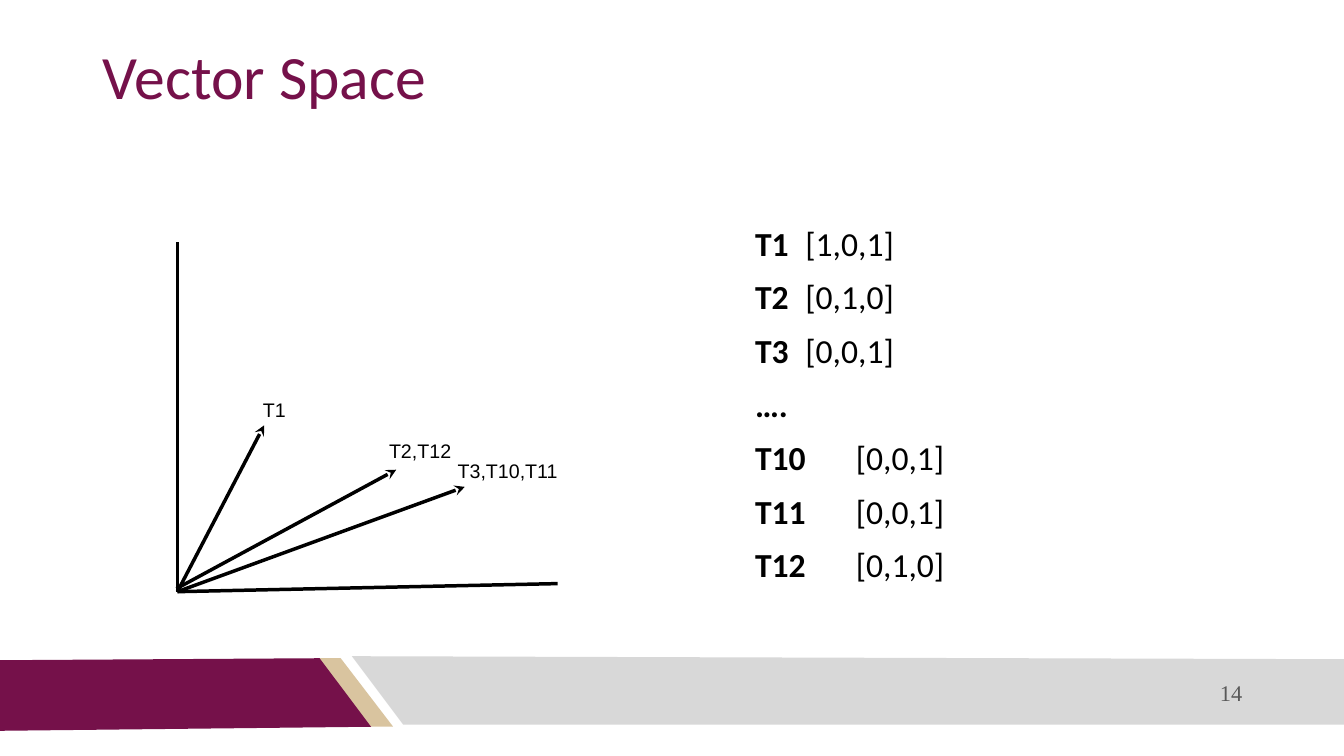
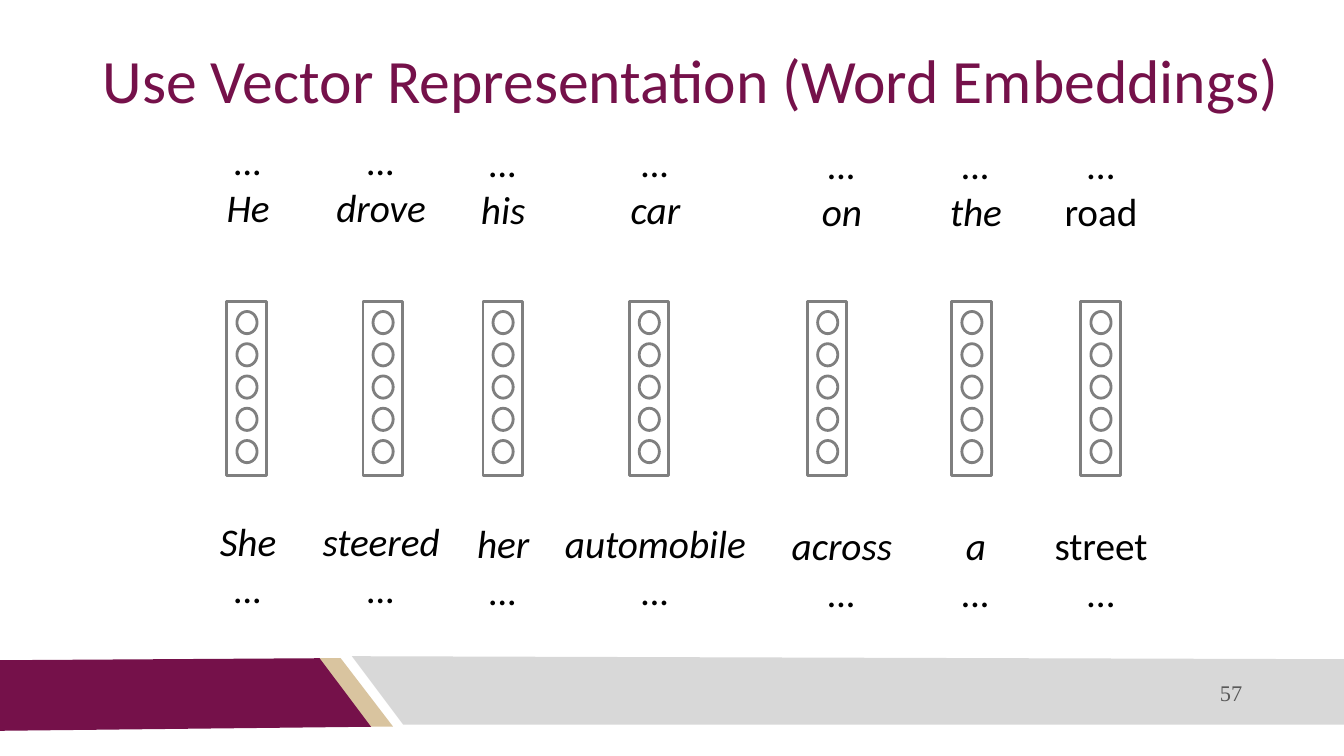
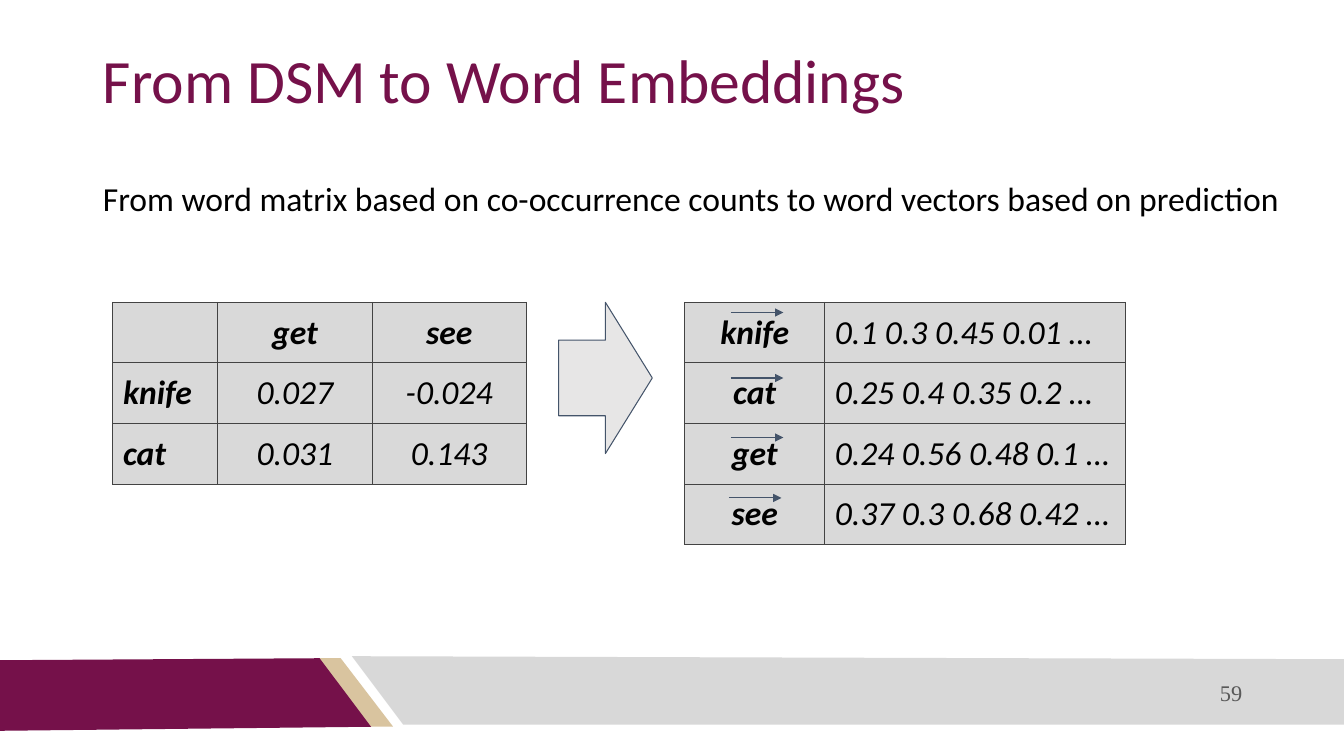
from dataclasses import dataclass

from lxml import etree
from pptx import Presentation
from pptx import util as u
from pptx.dml.color import RGBColor
from pptx.enum import shapes, text
from pptx.oxml.ns import qn


@dataclass(frozen=True)
class Theme:
    plum: str = "75114A"
    sand: str = "D9C49F"
    band_gray: str = "D8D8D8"
    ink: str = "000000"
    number_gray: str = "595959"
    cell_gray: str = "434343"
    cell_fill: str = "D9D9D9"
    neuron_gray: str = "7F7F7F"
    slate: str = "44546A"
    arrow_fill: str = "E7E6E6"
    font: str = "Calibri"
    label_font: str = "Arial"
    number_font: str = "Times New Roman"
    title_size: float = 44
    word_size: float = 28
    body_size: float = 24
    number_size: float = 16
    label_size: float = 14
    axis_width: float = 2.5
    neuron_width: float = 2
    thin_width: float = 0.75


THEME = Theme()
ALIGN = text.PP_ALIGN
ANCHOR = text.MSO_ANCHOR
TITLE_ONLY, TITLE_AND_BODY = 5, 1

BANDS = [
    (THEME.sand, [(3.16, 6.53), (3.38, 6.53), (3.9, 7.21), (3.67, 7.21)]),
    (THEME.plum, [(0, 6.55), (3.17, 6.53), (3.68, 7.21), (0, 7.25)]),
    (THEME.band_gray, [(13.33, 7.19), (4, 7.19), (3.49, 6.51), (13.33, 6.54)]),
]


def inches(*values):
    return [u.Inches(value) for value in values]


def style_font(font, size, name=THEME.font, color=THEME.ink, bold=False, italic=False):
    font.size = u.Pt(size)
    font.name = name
    font.color.rgb = RGBColor.from_string(color)
    font.bold = bold
    font.italic = italic


def style_runs(paragraph, size, **style):
    for run in paragraph.runs:
        style_font(run.font, size, **style)


def style_line(line, color, width):
    line.color.rgb = RGBColor.from_string(color)
    line.width = u.Pt(width)


def style_shape(shape, fill=None, line=None, width=THEME.thin_width):
    shape.shadow.inherit = False
    if fill:
        shape.fill.solid()
        shape.fill.fore_color.rgb = RGBColor.from_string(fill)
    else:
        shape.fill.background()
    if line:
        style_line(shape.line, line, width)
    else:
        shape.line.fill.background()


def add_bands(presentation, slide):
    master_tree = presentation.slide_master.shapes.element
    for position, (color, points) in enumerate(BANDS, start=2):
        corners = [inches(*point) for point in points]
        builder = slide.shapes.build_freeform(*corners[0])
        builder.add_line_segments(corners[1:], close=True)
        band = builder.convert_to_shape()
        style_shape(band, color)
        master_tree.insert(position, band.element)


def fill_placeholder(placeholder, content, box, size, color):
    placeholder.left, placeholder.top, placeholder.width, placeholder.height = inches(*box)
    frame = placeholder.text_frame
    frame.text = content
    frame.auto_size = text.MSO_AUTO_SIZE.NONE
    frame.vertical_anchor = ANCHOR.TOP
    frame.margin_left = frame.margin_right = u.Inches(0.1)
    frame.margin_top = frame.margin_bottom = u.Inches(0.1)
    paragraph = frame.paragraphs[0]
    paragraph.alignment = ALIGN.LEFT
    paragraph.space_before = u.Pt(0)
    style_runs(paragraph, size, color=color)
    return paragraph


def add_slide(presentation, layout, title, number, top=0.4, width=11.5):
    slide = presentation.slides.add_slide(presentation.slide_layouts[layout])
    paragraph = fill_placeholder(slide.shapes.title, title, (0.92, top, width, 1.45),
                                 THEME.title_size, THEME.plum)
    paragraph.line_spacing = 0.9
    add_text(slide, (7.92, 6.69, 4.5, 0.4), [str(number)], THEME.number_size, ALIGN.RIGHT,
             name=THEME.number_font, color=THEME.number_gray)
    return slide


def add_text(slide, box, lines, size, alignment=ALIGN.LEFT, **style):
    frame = slide.shapes.add_textbox(*inches(*box)).text_frame
    frame.word_wrap = True
    frame.text = "\n".join(lines)
    for paragraph in frame.paragraphs:
        paragraph.alignment = alignment
        style_runs(paragraph, size, **style)
    return frame


def add_line(slide, start, end, color=THEME.ink, width=THEME.axis_width, head=None):
    line = slide.shapes.add_connector(shapes.MSO_CONNECTOR.STRAIGHT,
                                      *inches(*start), *inches(*end))
    style_line(line.line, color, width)
    if head:
        etree.SubElement(line.line._get_or_add_ln(), qn("a:tailEnd"), type=head)
    etree.SubElement(line.element.spPr, qn("a:effectLst"))


def add_vector_list(slide, box, vectors):
    frame = add_text(slide, box, [name for name, _ in vectors], THEME.body_size, bold=True)
    for paragraph, (_, values) in zip(frame.paragraphs, vectors):
        if values:
            run = paragraph.add_run()
            run.text = "\t" + values
            style_font(run.font, THEME.body_size)
    for paragraph in frame.paragraphs[1:]:
        paragraph.space_before = u.Pt(9.5)


def add_neurons(slide, left, top=2.99, count=5):
    group = slide.shapes.add_group_shape()
    column = group.shapes.add_shape(shapes.MSO_SHAPE.RECTANGLE,
                                    *inches(left, top, 0.39, 1.73))
    style_shape(column, line=THEME.neuron_gray, width=THEME.neuron_width)
    for index in range(count):
        neuron = group.shapes.add_shape(
            shapes.MSO_SHAPE.OVAL, *inches(left + 0.1, top + 0.1 + 0.32 * index, 0.2, 0.22))
        style_shape(neuron, line=THEME.neuron_gray, width=THEME.neuron_width)


def add_word_pair(slide, center, middle, width, upper, lower, italic):
    height = 4.85
    frame = add_text(slide, (center - width / 2, middle - height / 2, width, height),
                     ["…", upper, lower, "…"], THEME.word_size, ALIGN.CENTER, italic=italic)
    frame.vertical_anchor = ANCHOR.MIDDLE
    frame.paragraphs[2].space_before = u.Pt(205)


def add_cell_borders(cell):
    properties = cell._tc.get_or_add_tcPr()
    for position, side in enumerate(("a:lnL", "a:lnR", "a:lnT", "a:lnB")):
        border = etree.Element(qn(side), w=str(u.Pt(THEME.thin_width)))
        fill = etree.SubElement(border, qn("a:solidFill"))
        etree.SubElement(fill, qn("a:srgbClr"), val=THEME.cell_gray)
        properties.insert(position, border)


def add_table(slide, left, top, widths, rows, alignments, header_row=False):
    row_height = 0.6
    table = slide.shapes.add_table(
        len(rows), len(widths),
        *inches(left, top, sum(widths), row_height * len(rows))).table
    table.first_row = table.horz_banding = False
    for column, width in zip(table.columns, widths):
        column.width = u.Inches(width)
    for row_index, values in enumerate(rows):
        for column_index, value in enumerate(values):
            cell = table.cell(row_index, column_index)
            cell.text = value
            cell.vertical_anchor = ANCHOR.MIDDLE
            cell.margin_left = cell.margin_right = u.Inches(0.1)
            cell.margin_top = cell.margin_bottom = u.Inches(0.1)
            cell.fill.solid()
            cell.fill.fore_color.rgb = RGBColor.from_string(THEME.cell_fill)
            add_cell_borders(cell)
            paragraph = cell.text_frame.paragraphs[0]
            paragraph.alignment = alignments[column_index]
            heading = column_index == 0 or (header_row and row_index == 0)
            style_runs(paragraph, THEME.body_size, bold=heading, italic=True)


def build_vector_space(slide):
    origin = (1.76, 5.87)
    for axis_end in ((5.53, 5.79), (1.76, 2.4)):
        add_line(slide, origin, axis_end)
    vectors = [
        ("T1", origin, (2.62, 4.22), (2.51, 3.9, 0.84, 0.34)),
        ("T3,T10,T11", origin, (4.61, 4.83), (4.44, 4.5, 1.38, 0.27)),
        ("T2,T12", (1.75, 5.84), (3.93, 4.66), (3.76, 4.31, 0.91, 0.27)),
    ]
    for label, start, end, box in vectors:
        add_line(slide, start, end, head="stealth")
        add_text(slide, box, [label], THEME.label_size, name=THEME.label_font)
    add_vector_list(slide, (7.39, 2.16, 2.34, 3.8), [
        ("T1", "[1,0,1]"), ("T2", "[0,1,0]"), ("T3", "[0,0,1]"), ("….", ""),
        ("T10", "[0,0,1]"), ("T11", "[0,0,1]"), ("T12", "[0,1,0]"),
    ])


def build_word_vectors(slide):
    columns = [
        (2.25, 2.46, 3.71, 1.22, "He", "She", True),
        (3.6, 3.78, 3.71, 1.57, "drove", "steered", True),
        (4.79, 4.99, 3.73, 0.88, "his", "her", True),
        (6.24, 6.5, 3.73, 2.49, "car", "automobile", True),
        (8.01, 8.35, 3.75, 1.34, "on", "across", True),
        (9.44, 9.68, 3.75, 0.88, "the", "a", True),
        (10.72, 10.92, 3.75, 1.13, "road", "street", False),
    ]
    for neurons_left, *word_pair in columns:
        add_neurons(slide, neurons_left)
        add_word_pair(slide, *word_pair)


def build_embeddings(slide):
    body = fill_placeholder(
        slide.placeholders[1],
        "From word matrix based on co-occurrence counts to word vectors based on prediction",
        (0.92, 1.66, 11.99, 1), THEME.body_size, THEME.ink)
    properties = body._p.get_or_add_pPr()
    properties.set("marL", "0")
    properties.set("indent", "0")
    etree.SubElement(properties, qn("a:buNone"))

    add_table(slide, 1.12, 3, (1.04, 1.53, 1.53), [
        ("", "get", "see"),
        ("knife", "0.027", "-0.024"),
        ("cat", "0.031", "0.143"),
    ], (ALIGN.LEFT, ALIGN.CENTER, ALIGN.CENTER), header_row=True)
    add_table(slide, 6.79, 3, (1.39, 2.98), [
        ("knife", "0.1 0.3 0.45 0.01 …"),
        ("cat", "0.25 0.4 0.35 0.2 …"),
        ("get", "0.24 0.56 0.48 0.1 …"),
        ("see", "0.37 0.3 0.68 0.42 …"),
    ], (ALIGN.CENTER, ALIGN.LEFT))

    arrow = slide.shapes.add_shape(shapes.MSO_SHAPE.RIGHT_ARROW, *inches(5.54, 3, 0.93, 1.5))
    style_shape(arrow, THEME.arrow_fill, THEME.slate)
    for left, top in ((7.25, 3.1), (7.25, 3.75), (7.25, 4.34), (7.23, 4.94)):
        add_line(slide, (left, top), (left + 0.52, top), THEME.slate, THEME.thin_width,
                 "triangle")


def main():
    presentation = Presentation()
    presentation.slide_width, presentation.slide_height = inches(13.33, 7.5)

    vector_space = add_slide(presentation, TITLE_ONLY, "Vector Space", 14, top=0.36)
    add_bands(presentation, vector_space)
    build_vector_space(vector_space)

    build_word_vectors(add_slide(presentation, TITLE_ONLY,
                                 "Use Vector Representation (Word Embeddings)", 57,
                                 width=12.03))
    build_embeddings(add_slide(presentation, TITLE_AND_BODY,
                               "From DSM to Word Embeddings", 59))
    presentation.save("out.pptx")


if __name__ == "__main__":
    main()
